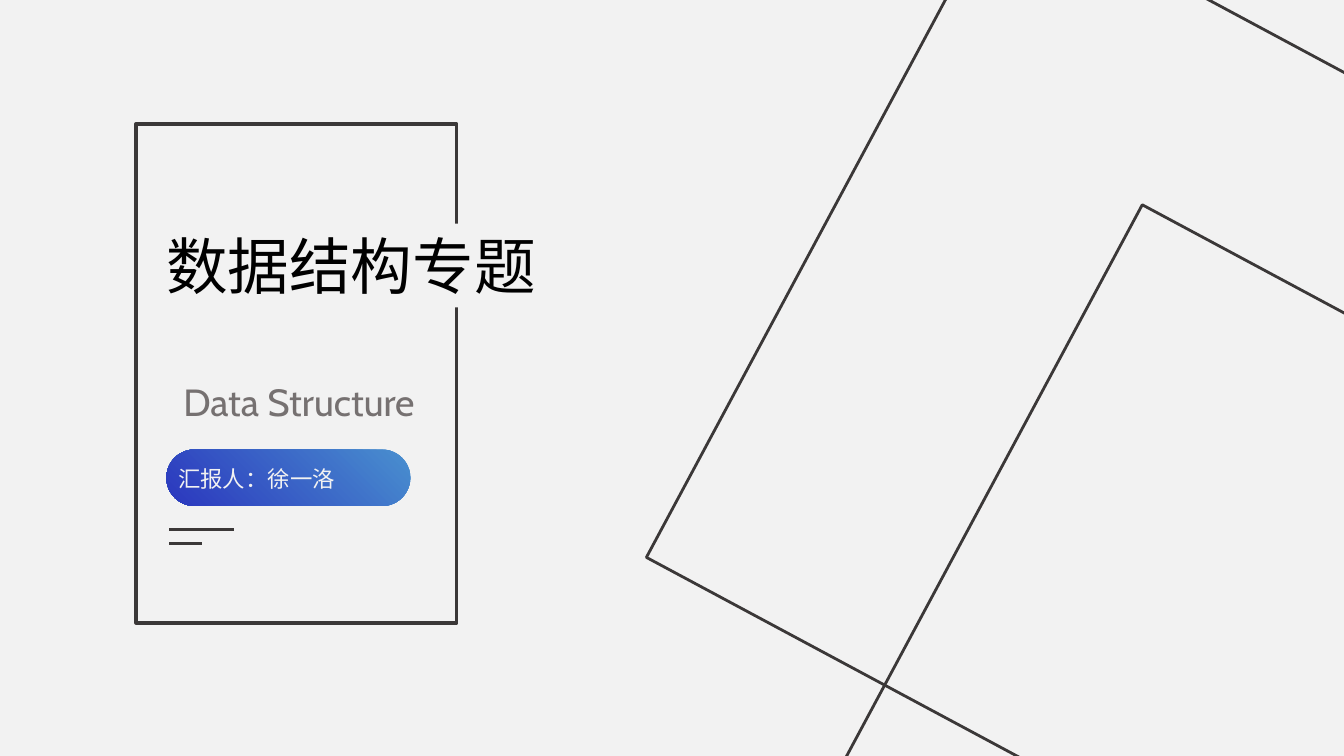
from lxml import etree
from pptx import Presentation
from pptx.dml.color import RGBColor
from pptx.enum.shapes import MSO_CONNECTOR, MSO_SHAPE
from pptx.enum.text import MSO_ANCHOR, MSO_AUTO_SIZE, PP_ALIGN
from pptx.oxml.ns import qn
from pptx.util import Pt

RECT, PILL = MSO_SHAPE.RECTANGLE, MSO_SHAPE.ROUNDED_RECTANGLE
STRAIGHT = MSO_CONNECTOR.STRAIGHT
LEFT, CENTER = PP_ALIGN.LEFT, PP_ALIGN.CENTER
MIDDLE = MSO_ANCHOR.MIDDLE
GROW = MSO_AUTO_SIZE.SHAPE_TO_FIT_TEXT

SCALE = 9144  # EMU per px, 100 px to the inch
PAPER, INK, GREY, BLACK = "F2F2F2", "3B3838", "767171", "000000"
SKY, INDIGO = "498FCF", "2B37BE"
HAN, LATIN = "Noto Sans CJK SC", "Cabin"


def px(n):
    return int(n * SCALE)


def rgb(value):
    return RGBColor.from_string(value)


def add_rect(s, box, kind=RECT, fill=None, line=None, width=2):
    sp = s.shapes.add_shape(kind, *map(px, box))
    sp.shadow.inherit = False
    if fill:
        sp.fill.solid()
        sp.fill.fore_color.rgb = rgb(fill)
    else:
        sp.fill.background()
    if line:
        sp.line.color.rgb = rgb(line)
        sp.line.width = Pt(width)
    else:
        sp.line.fill.background()
    return sp


def add_rule(s, x, y, length):
    rule = s.shapes.add_connector(STRAIGHT, px(x), px(y), px(x + length), px(y))
    rule.line.color.rgb = rgb(INK)
    rule.line.width = Pt(2)
    etree.SubElement(rule._element.spPr, qn("a:effectLst"))


def write(sp, runs, size, color, align=LEFT, wrap=True, spacing=None):
    """Fill a shape with one paragraph of (text, font) runs."""
    tf = sp.text_frame
    for key, value in {"word_wrap": wrap, "auto_size": GROW,
                       "vertical_anchor": MIDDLE}.items():
        setattr(tf, key, value)
    p = tf.paragraphs[0]
    p.alignment = align
    p.line_spacing = spacing
    for text, font in runs:
        r = p.add_run()
        r.text = text
        for key, value in {"name": font, "size": Pt(size)}.items():
            setattr(r.font, key, value)
        r.font.color.rgb = rgb(color)
        # East Asian glyphs take their own typeface
        etree.SubElement(r.font._element, qn("a:ea"), typeface=HAN)


def title_card(s, x, y, w, h):
    # Frame, with the title covering part of its right edge
    add_rect(s, (x, y, w, h), line=INK, width=2.5)
    title = add_rect(s, (x + 20, y + 99, 416, 83), fill=PAPER)
    write(title, [("数据结构专题", HAN)], 44, BLACK, spacing=Pt(52))

    # Subtitle
    subtitle = s.shapes.add_textbox(*map(px, (x + 33, y + 248, 257, 55)))
    write(subtitle, [("Data Structure", LATIN)], 27, GREY, CENTER, wrap=False)

    # Presenter pill
    pill = add_rect(s, (x + 30, y + 323, 242, 56), PILL)
    pill.adjustments[0] = 0.5
    pill.fill.gradient()
    pill.fill.gradient_angle = 225
    for stop, color in zip(pill.fill.gradient_stops, (SKY, INDIGO)):
        stop.color.rgb = rgb(color)
    presenter = s.shapes.add_textbox(*map(px, (x + 32, y + 333, 252, 37)))
    write(presenter, [("汇报人：", HAN), ("徐一洛", LATIN)], 16, PAPER)

    # Short rules, the second half as long
    for i, length in enumerate((64, 32)):
        add_rule(s, x + 33, y + 402 + 14 * i, length)


def tilted_squares(s, x, y, side):
    for dx, dy in ((0, 0), (137, 312)):
        square = add_rect(s, (x + dx, y + dy, side, side), line=INK)
        square.rotation = 298.2


def main():
    prs = Presentation()
    prs.slide_width, prs.slide_height = px(1333), px(750)
    s = prs.slides.add_slide(prs.slide_layouts[6])
    s.background.fill.solid()
    s.background.fill.fore_color.rgb = rgb(PAPER)
    title_card(s, 135, 123, 318, 495)
    tilted_squares(s, 774, 24, 751)
    prs.save("out.pptx")


if __name__ == "__main__":
    main()
